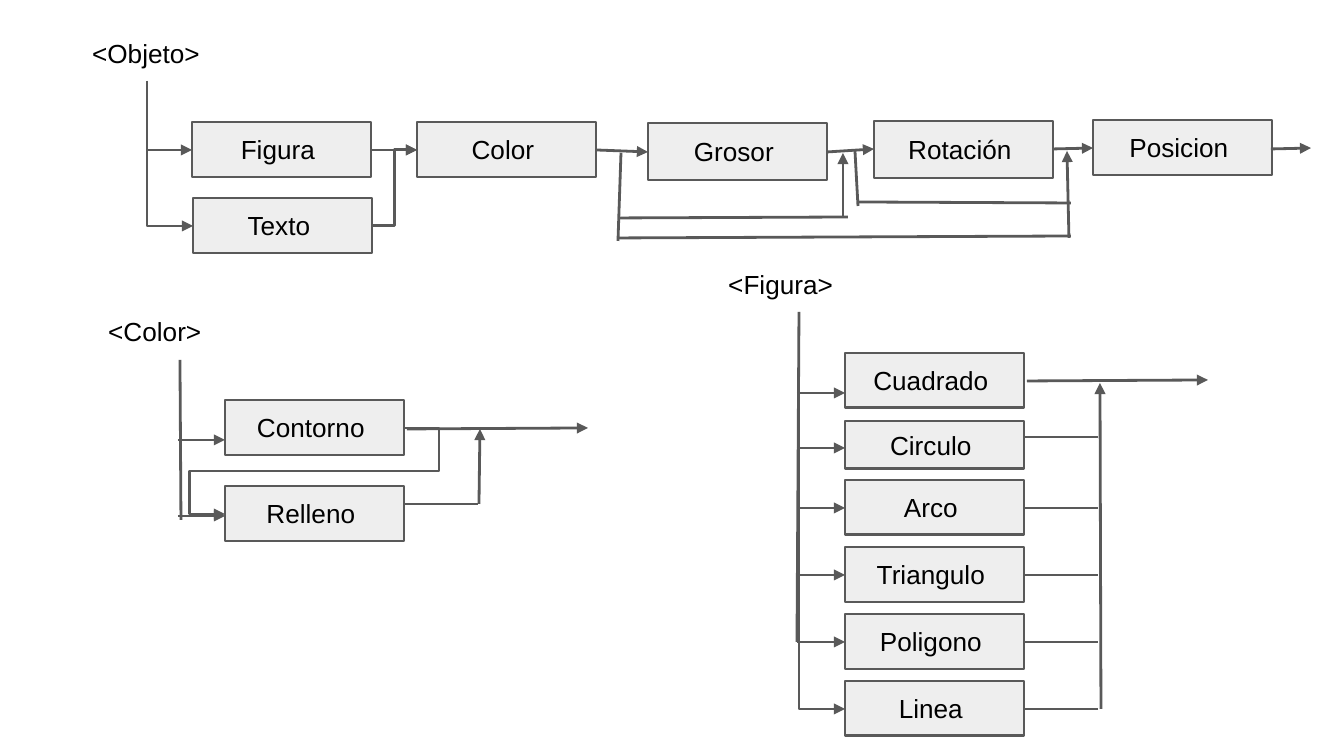
import pptx
import pptx.dml.color
import pptx.enum.shapes
import pptx.enum.text
import pptx.oxml
import pptx.oxml.ns
import pptx.util

SCALE = 914400 / 134.4
INK, FILL, BLACK = "595959", "EEEEEE", "000000"
BOX_WIDTH, BOX_HEIGHT = 179, 55
LINK = pptx.enum.shapes.MSO_CONNECTOR
CENTER = pptx.enum.text.PP_ALIGN.CENTER
LEFT = pptx.enum.text.PP_ALIGN.LEFT


def px(pixels):
    """Turn pixels into EMU."""
    return pptx.util.Emu(round(pixels * SCALE))


def color(hex_string):
    """Turn a hex string into a colour."""
    return pptx.dml.color.RGBColor.from_string(hex_string)


def write(shape, text, align, anchor):
    """Put one formatted line of text into a shape."""
    frame = shape.text_frame
    frame.word_wrap = True
    frame.vertical_anchor = anchor
    frame.margin_left = frame.margin_right = pptx.util.Inches(0.1)
    frame.margin_top = frame.margin_bottom = pptx.util.Inches(0.1)
    frame.text = text
    para = frame.paragraphs[0]
    para.alignment = align
    font = para.runs[0].font
    font.name, font.size = "Arial", pptx.util.Pt(14)
    font.color.rgb = color(BLACK)


def add_label(page, text, left, top, align=LEFT):
    """Add the name of a syntax rule."""
    box = page.shapes.add_textbox(px(left), px(top), px(168), px(58))
    write(box, text, align, pptx.enum.text.MSO_ANCHOR.TOP)


def add_box(page, text, left, top, height=BOX_HEIGHT):
    """Add a grey box with centred text."""
    box = page.shapes.add_shape(pptx.enum.shapes.MSO_SHAPE.RECTANGLE,
                                px(left), px(top), px(BOX_WIDTH), px(height))
    box.shadow.inherit = False
    box.fill.solid()
    box.fill.fore_color.rgb = color(FILL)
    box.line.color.rgb = color(INK)
    box.line.width = pptx.util.Pt(1.5)
    write(box, text + " ", CENTER, pptx.enum.text.MSO_ANCHOR.MIDDLE)


def add_line(page, x1, y1, x2, y2, kind=LINK.STRAIGHT, arrow=False):
    """Add a connector, with an arrowhead at its end if asked."""
    line = page.shapes.add_connector(kind, px(x1), px(y1), px(x2), px(y2))
    line.line.color.rgb = color(INK)
    line.line.width = pptx.util.Pt(1.5)
    if arrow:
        head = pptx.oxml.parse_xml(
            '<a:tailEnd %s type="triangle" w="med" len="med"/>' % pptx.oxml.ns.nsdecls("a"))
        line.line._get_or_add_ln().append(head)
    line.element.spPr.append(
        pptx.oxml.parse_xml("<a:effectLst %s/>" % pptx.oxml.ns.nsdecls("a")))
    return line


def add_arrow(page, x1, y1, x2, y2):
    """Add a straight arrow."""
    return add_line(page, x1, y1, x2, y2, arrow=True)


def add_elbow(page, x1, y1, x2, y2):
    """Add a bent arrow."""
    return add_line(page, x1, y1, x2, y2, LINK.ELBOW, True)


def reshape(line, preset, adjustments=()):
    """Give a bent arrow another preset route."""
    geometry = line.element.spPr.find(pptx.oxml.ns.qn("a:prstGeom"))
    geometry.set("prst", preset)
    guides = geometry.find(pptx.oxml.ns.qn("a:avLst"))
    for number, value in enumerate(adjustments, 1):
        guides.append(pptx.oxml.parse_xml('<a:gd %s name="adj%d" fmla="val %d"/>' % (
            pptx.oxml.ns.nsdecls("a"), number, value)))


def add_drop(page, x1, y1, x2, y2):
    """Add an arrow that runs down and then right."""
    line = add_elbow(page, x1, y1, x2, y2)
    reshape(line, "bentConnector2")
    across, down = x2 - x1, y2 - y1
    line.left, line.top = px((x1 + x2 - down) / 2), px((y1 + y2 - across) / 2)
    line.width, line.height = px(down), px(across)
    frame = line.element.spPr.find(pptx.oxml.ns.qn("a:xfrm"))
    frame.set("rot", "16200000")
    frame.set("flipH", "1")


def draw_object_rule(page):
    """Draw the rule for an object."""
    add_label(page, "<Objeto>", 62, 24, CENTER)
    for text, left, top, height in (
            ("Figura", 192, 122, BOX_HEIGHT), ("Texto", 193, 198, BOX_HEIGHT),
            ("Color", 417, 122, BOX_HEIGHT), ("Grosor", 648, 123, 57),
            ("Rotación", 874, 121, 57), ("Posicion", 1093, 120, BOX_HEIGHT)):
        add_box(page, text, left, top, height)
    add_drop(page, 147, 81, 192, 150)
    add_drop(page, 147, 81, 193, 226)
    add_elbow(page, 371, 150, 417, 150)
    add_elbow(page, 372, 226, 417, 150)
    for ends in ((596, 150, 648, 152), (827, 152, 874, 149),
                 (1053, 149, 1093, 148), (1271, 149, 1311, 148),
                 (843, 217, 843, 153), (1069, 238, 1067, 151)):
        add_arrow(page, *ends)
    for ends in ((621, 153, 618, 241), (848, 217, 619, 218), (855, 151, 858, 206),
                 (1071, 203, 858, 202), (1071, 236, 619, 238)):
        add_line(page, *ends)


def draw_color_rule(page):
    """Draw the rule for a colour."""
    add_label(page, "<Color>", 95, 302)
    add_box(page, "Contorno", 225, 400)
    add_box(page, "Relleno", 225, 486)
    add_line(page, 180, 360, 181, 520)
    add_line(page, 404, 504, 478, 504)
    add_arrow(page, 407, 429, 588, 428)
    add_arrow(page, 479, 504, 480, 429)
    for y in (440, 516):
        add_elbow(page, 178, y, 225, y)
    loop = add_elbow(page, 404, 428, 225, 514)
    reshape(loop, "bentConnector5", (-19600, 50000, 119600))


def draw_figure_rule(page):
    """Draw the rule for a figure."""
    add_label(page, "<Figura>", 715, 255)
    add_box(page, "Cuadrado", 845, 353)
    add_box(page, "Circulo", 845, 421, 48)
    rows = [508 + 67 * row for row in range(4)]
    for text, y in zip(("Arco", "Triangulo", "Poligono", "Linea"), rows):
        add_box(page, text, 845, y - 28)
    for y in [393, 448] + rows[:-1]:
        add_elbow(page, 797, y, 845, y)
    for y in [437] + rows:
        add_line(page, 1024, y, 1098, y)
    add_line(page, 799, 312, 797, 642)
    add_drop(page, 799, 312, 845, 709)
    add_arrow(page, 1027, 381, 1208, 380)
    add_arrow(page, 1101, 709, 1100, 383)


def main():
    """Build the slide and save it."""
    deck = pptx.Presentation()
    deck.slide_width, deck.slide_height = px(1344), px(756)
    page = deck.slides.add_slide(deck.slide_layouts[6])
    draw_object_rule(page)
    draw_color_rule(page)
    draw_figure_rule(page)
    deck.save("out.pptx")


main()
